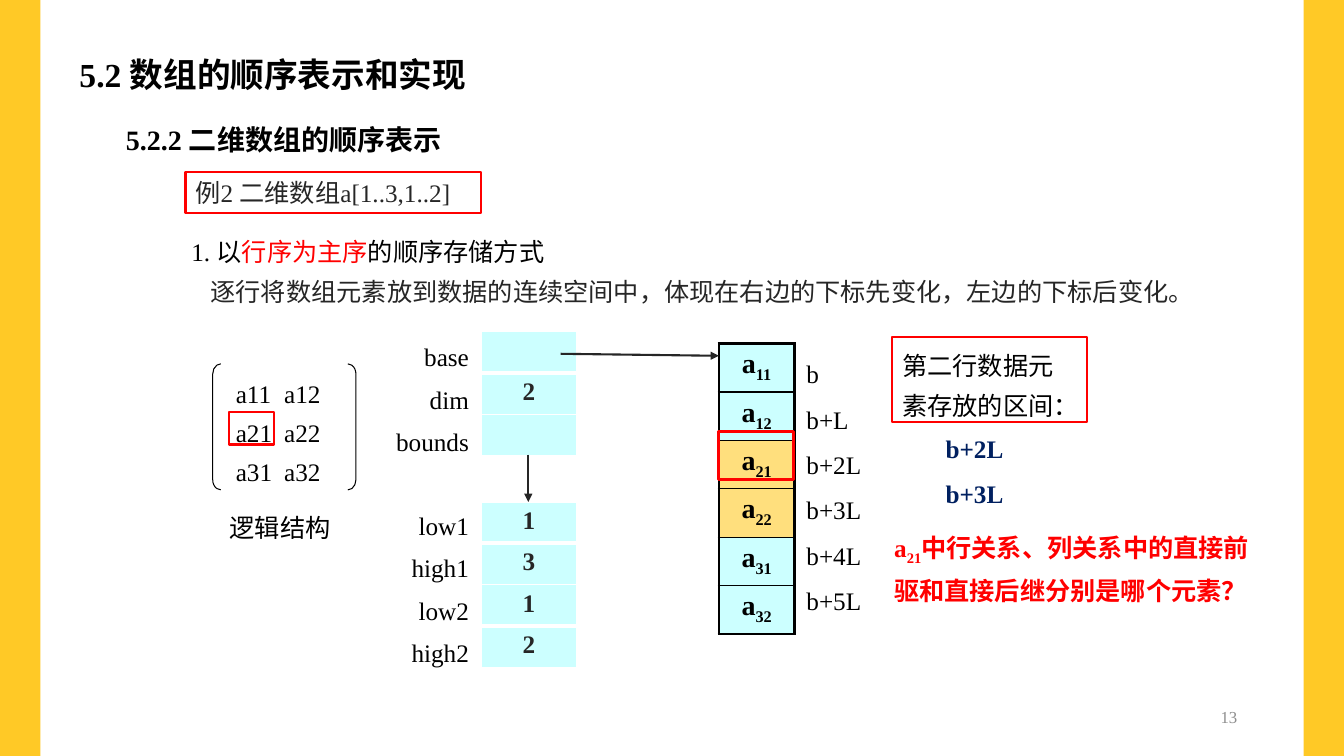
"""Build the slide on row-major storage of a two-dimensional array."""
import pptx
import pptx.dml.color
import pptx.enum.shapes
import pptx.enum.text
import pptx.oxml
import pptx.oxml.ns
import pptx.util

Inches, Pt = pptx.util.Inches, pptx.util.Pt
MSO, ALIGN = pptx.enum.shapes.MSO_SHAPE, pptx.enum.text.PP_ALIGN
FONT = "Times New Roman"
BLACK, WHITE, GREY, RED = "000000", "FFFFFF", "262626", "FF0000"
CYAN, GOLD, YELLOW, NAVY = "CCFFFF", "FFDF7D", "FFC926", "002060"

BARS = [0, 12.93]
BRACKETS = [(MSO.LEFT_BRACKET, 2.11), (MSO.RIGHT_BRACKET, 3.45)]
ELEMENTS = [("11", CYAN), ("12", CYAN), ("21", GOLD), ("22", GOLD), ("31", CYAN), ("32", CYAN)]
ADDRESSES = ["b", "b+L", "b+2L", "b+3L", "b+4L", "b+5L"]
FIELDS = ["base", "dim", "bounds", "low1", "high1", "low2", "high2"]
FIELD_TABLES = [(3.29, ["", "2", ""]), (4.98, ["1", "3"]), (5.8, ["1", "2"])]
MATRIX = ["a11\ta12", "a21\ta22", "a31\ta32"]
METHOD = [
    ["1. 以", ("行序为主序", {"color": RED}), "的顺序存储方式"],
    [("逐行将数组元素放到数据的连续空间中，体现在右边的下标先变化，左边的下标后变化。", {"color": GREY})],
]
QUESTION = ["a", ("21", {"base": -25}), "中行关系、列关系中的直接前驱和直接后继分别是哪个元素？"]
TEXTS = [
    ((0.69, 0.37, 11.96, 0.94), ["5.2 数组的顺序表示和实现"], {"size": 24, "bold": True, "spacing": 1.3}),
    ((1.15, 1.07, 6.67, 0.5), ["5.2.2 二维数组的顺序表示"], {"size": 20, "bold": True, "spacing": 1.3}),
    ((8.77, 5.13, 3.8, 0.85), [QUESTION], {"color": RED, "bold": True, "spacing": 1.3}),
    ((3.82, 3.22, 0.93, 3.56), FIELDS,
     {"align": ALIGN.RIGHT, "spacing": 1.4, "before": {3: 30}, "wrap": False}),
    ((7.9, 3.36, 0.75, 2.77), ADDRESSES, {"spacing": 1.5}),
    ((1.72, 2.21, 10.65, 0.86), METHOD, {"spacing": 1.3, "indents": [0.08, 0.27]}),
    ((2.24, 3.61, 1.15, 1.24), MATRIX, {"spacing": 1.3, "tab": 0.48}),
    ((2.18, 4.94, 1.21, 0.46), ["逻辑结构"], {"spacing": 1.3, "wrap": False}),
    ((9.28, 4.1, 1.21, 0.96), ADDRESSES[2:4], {"color": NAVY, "bold": True, "spacing": 1.5}),
]
FRAMES = [
    ((1.84, 1.71, 2.93, 0.4), 1.5, ["例2 二维数组a[1..3,1..2]"], {"color": GREY}),
    ((2.27, 4.09, 0.45, 0.32), 1.5, [], {}),
    ((7.13, 4.28, 0.74, 0.48), 2.25, [], {}),
    ((8.85, 3.34, 1.93, 0.85), 1.5, ["第二行数据元素存放的区间："], {"spacing": 1.3}),
]
ARROWS = [((5.24, 4.51), (5.24, 4.98)), ((5.56, 3.51), (7.13, 3.53))]


def rgb(value):
    return pptx.dml.color.RGBColor.from_string(value)


def element(tag, **attrs):
    el = pptx.oxml.parse_xml(f"<a:{tag} {pptx.oxml.ns.nsdecls('a')}/>")
    for name, value in attrs.items():
        el.set(name, str(value))
    return el


def write(tf, paragraphs, size=18, color=BLACK, bold=False, align=ALIGN.LEFT,
          spacing=1.0, before=None, indents=None, tab=None, wrap=True):
    tf.word_wrap = wrap
    for i, runs in enumerate(paragraphs):
        p = tf.add_paragraph() if i else tf.paragraphs[0]
        p.alignment, p.line_spacing = align, spacing
        if before and i in before:
            p.space_before = Pt(before[i])
        pPr = p._p.get_or_add_pPr()
        if indents:
            pPr.set("marL", str(Inches(indents[i])))
        if tab:
            tabs = element("tabLst")
            tabs.append(element("tab", pos=Inches(tab), algn="l"))
            pPr.append(tabs)
        for run in [runs] if isinstance(runs, str) else runs:
            text, fmt = (run, {}) if isinstance(run, str) else run
            r = p.add_run()
            r.text = text
            r.font.name, r.font.size, r.font.bold = FONT, Pt(size), bold
            r.font.color.rgb = rgb(fmt.get("color", color))
            if "base" in fmt:
                r._r.get_or_add_rPr().set("baseline", str(fmt["base"] * 1000))


def add_text(s, box, paragraphs, **fmt):
    tf = s.shapes.add_textbox(*map(Inches, box)).text_frame
    write(tf, paragraphs, **fmt)
    return tf


def add_shape(s, kind, box, fill=None, line=None, width=1.5):
    sp = s.shapes.add_shape(kind, *map(Inches, box))
    sp.shadow.inherit = False
    if fill:
        sp.fill.solid()
        sp.fill.fore_color.rgb = rgb(fill)
    else:
        sp.fill.background()
    if line:
        sp.line.color.rgb = rgb(line)
        sp.line.width = Pt(width)
    else:
        sp.line.fill.background()
    return sp


def set_borders(cell, color, widths):
    tcPr = cell._tc.get_or_add_tcPr()
    for i, (side, width) in enumerate(zip(("lnL", "lnR", "lnT", "lnB"), widths)):
        ln, fill = element(side, w=Pt(width)), element("solidFill")
        fill.append(element("srgbClr", val=color))
        ln.append(fill)
        tcPr.insert(i, ln)


def add_column(s, left, top, width, row_height, cells, line, borders, **fmt):
    n = len(cells)
    frame = s.shapes.add_table(n, 1, *map(Inches, (left, top, width, row_height * n)))
    table = frame.table
    table.first_row = table.horz_banding = False
    for i, (runs, fill) in enumerate(cells):
        table.rows[i].height = Inches(row_height)
        cell = table.cell(i, 0)
        cell.fill.solid()
        cell.fill.fore_color.rgb = rgb(fill)
        set_borders(cell, line, borders(i, n))
        if runs:
            write(cell.text_frame, [runs], bold=True, align=ALIGN.CENTER, **fmt)


def element_borders(i, n):
    return 2.25, 2.25, 1 if i else 2.25, 1 if i < n - 1 else 2.25


def field_borders(i, n):
    return 1, 1, 3 if i == 1 else 1, 1 if i else 3


def add_arrow(s, start, end):
    c = s.shapes.add_connector(pptx.enum.shapes.MSO_CONNECTOR.STRAIGHT, *map(Inches, start + end))
    c.line.color.rgb = rgb(GREY)
    c.line.width = Pt(1.5)
    c.line._get_or_add_ln().append(element("tailEnd", type="triangle"))
    c._element.spPr.append(element("effectLst"))


def main():
    prs = pptx.Presentation()
    prs.slide_width, prs.slide_height = Inches(13.33), Inches(7.5)
    s = prs.slides.add_slide(prs.slide_layouts[6])
    for left in BARS:
        add_shape(s, MSO.RECTANGLE, (left, 0, 0.4, 7.5), fill=YELLOW)
    cells = [(["a", (index, {"base": -25})], fill) for index, fill in ELEMENTS]
    add_column(s, 7.13, 3.41, 0.75, 0.48, cells, BLACK, element_borders, size=20)
    for top, values in FIELD_TABLES:
        cells = [(value, CYAN) for value in values]
        add_column(s, 4.77, top, 0.95, 0.41, cells, WHITE, field_borders, color=GREY)
    for start, end in ARROWS:
        add_arrow(s, start, end)
    for box, paragraphs, fmt in TEXTS:
        add_text(s, box, paragraphs, **fmt)
    for kind, left in BRACKETS:
        sp = add_shape(s, kind, (left, 3.61, 0.08, 1.25), line=BLACK, width=0.75)
        sp.adjustments[0] = 1.25
    for box, width, paragraphs, fmt in FRAMES:
        sp = add_shape(s, MSO.RECTANGLE, box, line=RED, width=width)
        sp.text_frame.vertical_anchor = pptx.enum.text.MSO_ANCHOR.TOP
        write(sp.text_frame, paragraphs, **fmt)
    tf = add_text(s, (9.42, 6.94, 2.95, 0.35), ["13"], size=12, color="8E8E8E", align=ALIGN.RIGHT)
    tf.vertical_anchor = pptx.enum.text.MSO_ANCHOR.MIDDLE
    prs.save("out.pptx")


if __name__ == "__main__":
    main()
